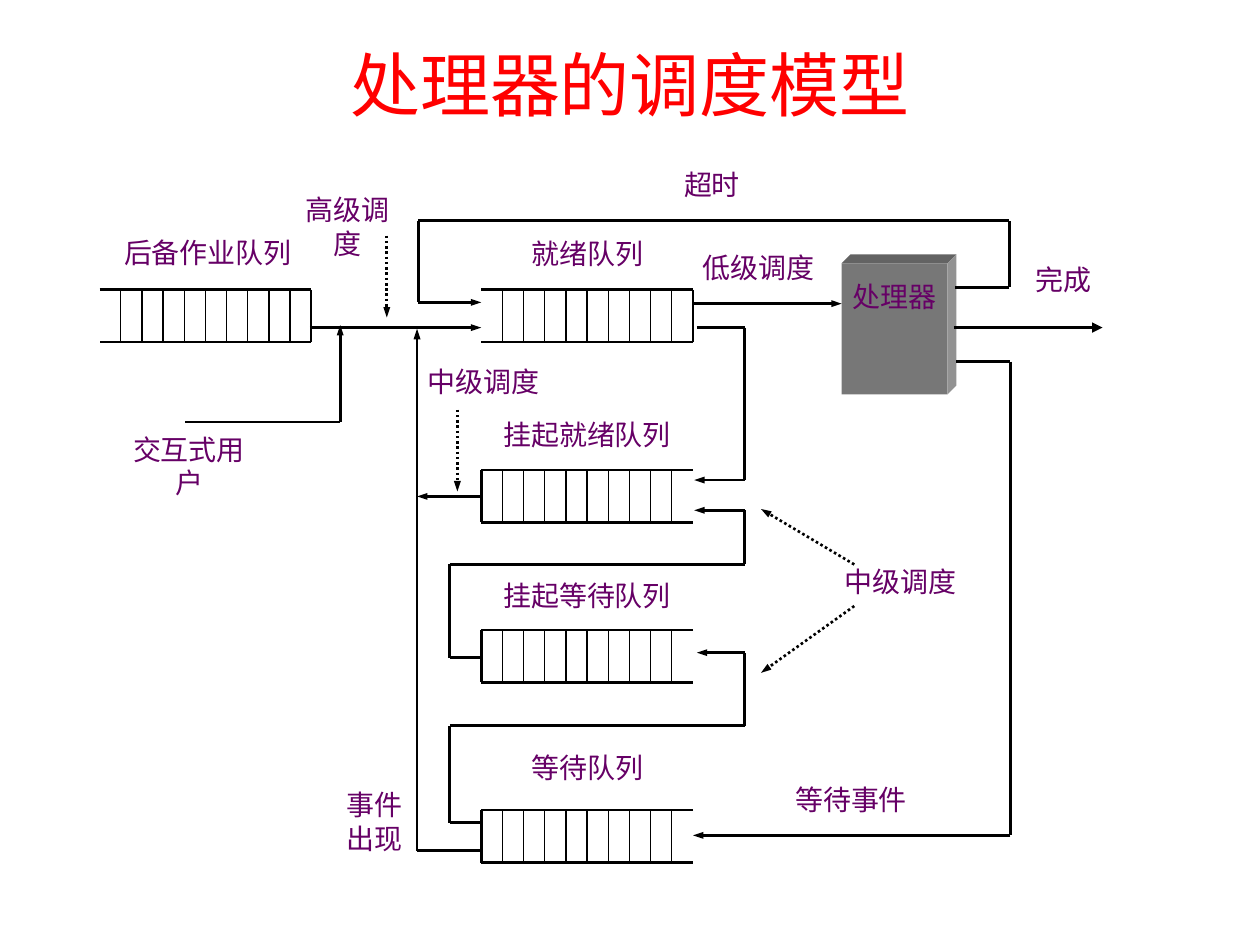
from lxml import etree
from pptx import Presentation
from pptx import util as u
from pptx.dml import color
from pptx.enum import dml, shapes, text
from pptx.oxml import ns

presentation = Presentation()
presentation.slide_width, presentation.slide_height = u.Inches(10), u.Inches(7.5)
slide = presentation.slides.add_slide(presentation.slide_layouts[6])

# Grid of 100 columns by 75 rows
COLUMN = presentation.slide_width / 100
ROW = presentation.slide_height / 75
rgb = color.RGBColor.from_string
FRAME = dict(word_wrap=True, vertical_anchor=text.MSO_ANCHOR.TOP,
             margin_left=0, margin_right=0, margin_top=0, margin_bottom=0)
LABEL_FONT = dict(name="Noto Sans CJK SC", size=u.Pt(16))
TITLE_FONT = dict(name="Times New Roman", size=u.Pt(40))


def write(shape, wording, font_values=LABEL_FONT, hex_color="660066", **frame_values):
    frame = shape.text_frame
    for name, value in {**FRAME, **frame_values}.items():
        setattr(frame, name, value)
    frame.text = wording
    for paragraph in frame.paragraphs:
        paragraph.alignment = text.PP_ALIGN.CENTER
        font = paragraph.runs[0].font
        for name, value in font_values.items():
            setattr(font, name, value)
        font.color.rgb = rgb(hex_color)


def draw_route(points, arrow=None, width=1.5, dash=None):
    """Join the points with straight lines; arrow is the head width at the last point."""
    for (x1, y1), (x2, y2) in zip(points, points[1:]):
        connector = slide.shapes.add_connector(
            shapes.MSO_CONNECTOR.STRAIGHT,
            round(x1 * COLUMN), round(y1 * ROW), round(x2 * COLUMN), round(y2 * ROW))
        line = connector.line
        line.color.rgb = rgb("000000")
        for name, value in dict(width=u.Pt(width), dash_style=dash).items():
            setattr(line, name, value)
        properties = connector._element.spPr
        etree.SubElement(properties, ns.qn("a:effectLst"))
    if arrow:
        etree.SubElement(properties.find(ns.qn("a:ln")), ns.qn("a:tailEnd"),
                         type="triangle", w=arrow, len="med")


# Title
title = slide.shapes.add_textbox(
    round(7.5 * COLUMN), round(2.8 * ROW), round(85 * COLUMN), round(6.7 * ROW))
write(title, "处理器的调度模型", TITLE_FONT, "FF0000", margin_top=u.Inches(0.05))

# Queues: left, top, closed on the right
QUEUE_WIDTH, QUEUE_HEIGHT, CELLS = 16.8, 4.16, 10
cell = QUEUE_WIDTH / CELLS
for left, top, closed_right in [(7.9, 23, True), (38.2, 23, True), (38.2, 37.3, False),
                                (38.2, 50, False), (38.2, 64.3, False)]:
    right, bottom = left + QUEUE_WIDTH, top + QUEUE_HEIGHT
    closed, opened = (right, left) if closed_right else (left, right)
    draw_route([(opened, top), (closed, top), (closed, bottom), (opened, bottom)])
    for index in range(1, CELLS):
        x = left + index * cell
        draw_route([(x, top), (x, bottom)], width=0.75)

# Processor block: front, top and side faces
left, top, right, bottom, depth = 66.8, 20.9, 75.2, 31.3, 0.7
front = slide.shapes.add_shape(
    shapes.MSO_SHAPE.RECTANGLE, round(left * COLUMN), round(top * ROW),
    round((right - left) * COLUMN), round((bottom - top) * ROW))
faces = [(front, "777777")]
for outline, hex_color in [
    ([(left, top), (left + depth, top - depth), (right + depth, top - depth),
      (right, top)], "636363"),
    ([(right, top), (right + depth, top - depth), (right + depth, bottom - depth),
      (right, bottom)], "929292"),
]:
    corners = [(round(x * COLUMN), round(y * ROW)) for x, y in outline]
    builder = slide.shapes.build_freeform(*corners[0])
    builder.add_line_segments(corners[1:], close=True)
    faces.append((builder.convert_to_shape(), hex_color))
for face, hex_color in faces:
    face.shadow.inherit = False
    face.fill.solid()
    face.fill.fore_color.rgb = rgb(hex_color)
    face.line.fill.background()
write(front, "处理器", margin_top=u.Inches(0.13), margin_bottom=u.Inches(0.05))

# Solid routes
for points, arrow in [
    ([(55, 24.1), (66.8, 24.1)], "sm"),
    ([(24.6, 26), (38.2, 26)], "sm"),
    ([(75.7, 26), (87.5, 26)], "med"),
    ([(75.8, 22.8), (80.1, 22.8), (80.1, 17.5), (33.2, 17.5), (33.2, 24), (38.2, 24)], "sm"),
    ([(75.9, 28.7), (80.2, 28.7), (80.2, 66.3), (55, 66.3)], "sm"),
    ([(38.2, 67.5), (33.1, 67.5), (33.1, 26.1)], "sm"),
    ([(38.2, 39.4), (33.1, 39.4)], "sm"),
    ([(14.7, 33.5), (27, 33.5), (27, 25.8)], "sm"),
    ([(55.3, 26), (59.1, 26), (59.1, 38.1), (55.1, 38.1)], "sm"),
    ([(38.2, 52.2), (35.7, 52.2), (35.7, 44.8), (59.1, 44.8), (59.1, 40.5), (55.1, 40.5)], "sm"),
    ([(38.2, 65.3), (35.7, 65.3), (35.7, 57.6), (59.1, 57.6), (59.1, 51.8), (55.3, 51.8)], "sm"),
]:
    draw_route(points, arrow)

# Dotted scheduling pointers
for points in [
    [(30.7, 18.7), (30.7, 25.2)],
    [(36.3, 32.5), (36.3, 39)],
    [(67.8, 44.8), (60.4, 40.4)],
    [(67.8, 48.1), (60.4, 53.4)],
]:
    draw_route(points, "sm", dash=dml.MSO_LINE.ROUND_DOT)

# Labels: left, top, width, height
for wording, x, y, width, height in [
    ("后备作业队列", 8.5, 18.7, 16, 4.3),
    ("就绪队列", 38.2, 18.8, 16.8, 4.2),
    ("挂起就绪队列", 38.2, 33.1, 16.8, 4.2),
    ("挂起等待队列", 38.2, 45.9, 16.8, 4.2),
    ("等待队列", 38.2, 59.6, 16.8, 4.2),
    ("高级调度", 23.3, 15.3, 8.6, 4.7),
    ("中级调度", 33.4, 28.9, 9.9, 4.3),
    ("中级调度", 66.5, 44.8, 9.9, 4.3),
    ("低级调度", 55.7, 19.9, 9, 3.1),
    ("超时", 42.4, 13.3, 28.2, 4.2),
    ("完成", 81.3, 20.8, 6.2, 5.1),
    ("等待事件", 60, 62.1, 15.1, 4.2),
    ("交互式用户", 9.8, 34.3, 10.4, 4.3),
    ("事件\n出现", 26.4, 62.5, 6.7, 8.3),
]:
    label = slide.shapes.add_textbox(
        round(x * COLUMN), round(y * ROW), round(width * COLUMN), round(height * ROW))
    write(label, wording)

presentation.save("out.pptx")
